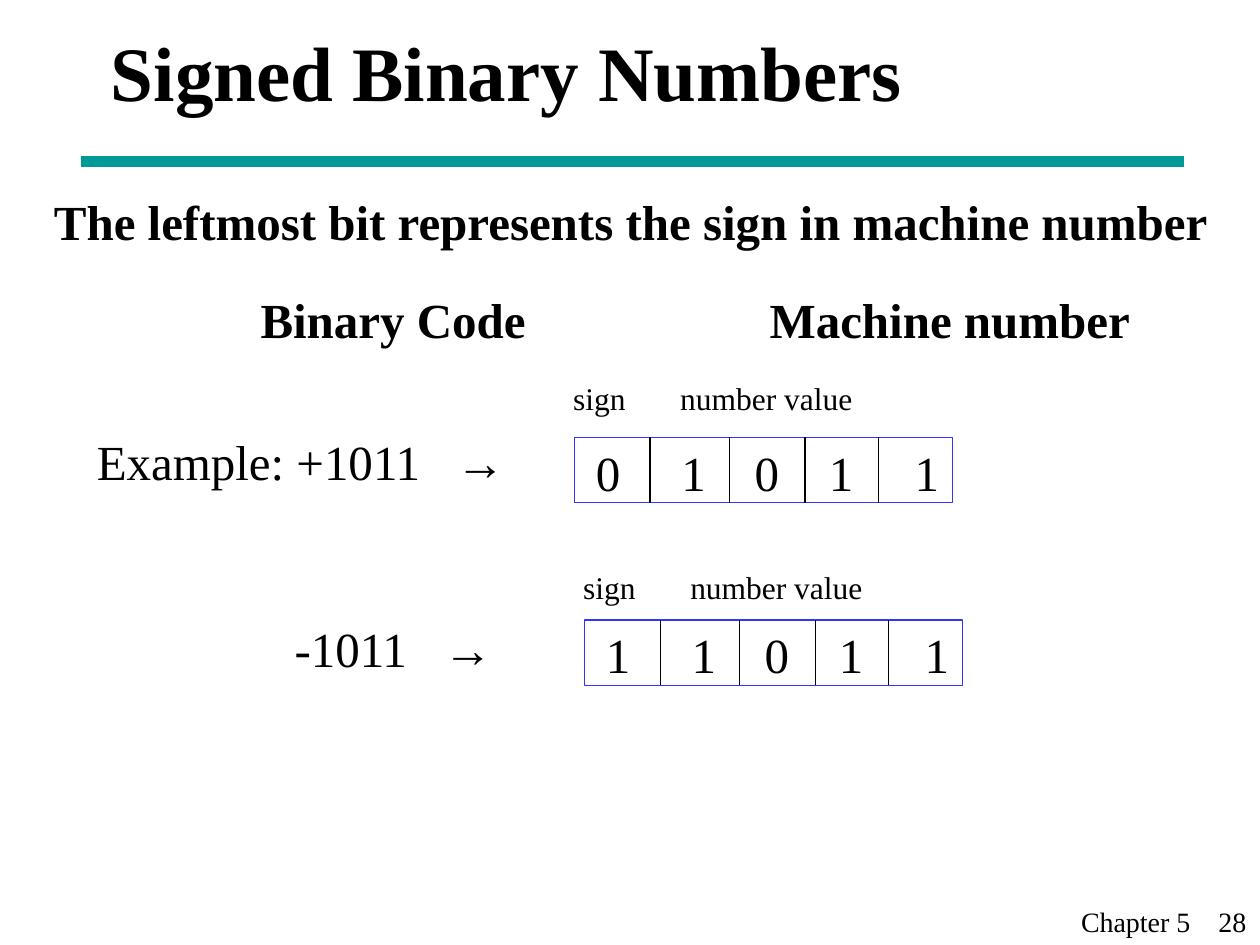
from dataclasses import dataclass

from lxml import etree
from pptx import Presentation
from pptx.dml.color import RGBColor
from pptx.enum.shapes import MSO_CONNECTOR, MSO_SHAPE
from pptx.enum.text import MSO_ANCHOR, MSO_AUTO_SIZE, PP_ALIGN
from pptx.oxml.ns import qn
from pptx.util import Inches, Pt

STRAIGHT = MSO_CONNECTOR.STRAIGHT
RECTANGLE = MSO_SHAPE.RECTANGLE
MIDDLE = MSO_ANCHOR.MIDDLE
NO_AUTOFIT = MSO_AUTO_SIZE.NONE
LEFT = PP_ALIGN.LEFT

COLORS = {"text": "000000", "rule": "009999", "frame": "3333FF"}
FONT = "Times New Roman"
ARROW_FONT = "Arial"

FRAME_WIDTH, FRAME_HEIGHT = 3, 0.52
DIVIDERS = (0.6, 1.23, 1.83, 2.41)
DIGIT_TABS = (0.68, 1.26, 1.85, 2.53)


@dataclass
class Example:
    code: str
    code_left: float
    code_top: float
    code_width: float
    arrow_tab: float
    bits: str
    frame_left: float
    frame_top: float
    label_top: float


EXAMPLES = (
    Example("Example: +1011", 0.67, 3.28, 3.59, 2.85, "01011", 4.56, 3.47, 2.96),
    Example("-1011", 2.24, 4.77, 2, 1.18, "11011", 4.64, 4.92, 4.46),
)


def color(name: str) -> RGBColor:
    return RGBColor.from_string(COLORS[name])


def format_font(font, size: float, bold: bool = False) -> None:
    font.name = FONT
    font.size = Pt(size)
    font.bold = bold
    font.color.rgb = color("text")


def add_text(slide, text: str, left: float, top: float, width: float, height: float,
             size: float = 28, bold: bool = False, tabs: tuple = (), inset: float = 0.1):
    """Add a one-paragraph text box with left tab stops and return its paragraph."""
    box = slide.shapes.add_textbox(Inches(left), Inches(top), Inches(width), Inches(height))
    frame = box.text_frame
    frame.word_wrap = True
    frame.margin_left = Inches(inset)
    frame.margin_right = Inches(0)
    paragraph = frame.paragraphs[0]
    paragraph.text = text
    if tabs:
        tab_list = etree.SubElement(paragraph._p.get_or_add_pPr(), qn("a:tabLst"))
        for position in tabs:
            etree.SubElement(tab_list, qn("a:tab"), pos=str(Inches(position)), algn="l")
    format_font(paragraph.font, size, bold)
    return paragraph


def add_line(slide, start: tuple, end: tuple, color_name: str, width: float) -> None:
    line = slide.shapes.add_connector(STRAIGHT, *map(Inches, start + end))
    line.line.color.rgb = color(color_name)
    line.line.width = Pt(width)
    etree.SubElement(line._element.spPr, qn("a:effectLst"))


def add_example(slide, example: Example) -> None:
    left, top = example.frame_left, example.frame_top

    # Binary code and arrow
    paragraph = add_text(slide, f"{example.code}\t", example.code_left, example.code_top,
                         example.code_width, 0.66, tabs=(example.arrow_tab,))
    paragraph.line_spacing = 1.2
    arrow = paragraph.add_run()
    arrow.text = "→"
    arrow.font.name = ARROW_FONT

    # Machine number cells
    frame = slide.shapes.add_shape(RECTANGLE, Inches(left), Inches(top),
                                   Inches(FRAME_WIDTH), Inches(FRAME_HEIGHT))
    frame.shadow.inherit = False
    frame.fill.background()
    frame.line.color.rgb = color("frame")
    frame.line.width = Pt(0.75)
    add_text(slide, "\t".join(example.bits), left + 0.07, top - 0.01, 2.92, 0.57,
             tabs=DIGIT_TABS)
    for offset in DIVIDERS:
        add_line(slide, (left + offset, top), (left + offset, top + FRAME_HEIGHT), "text", 0.75)

    # Labels above the cells
    add_text(slide, "sign\tnumber value", left - 0.11, example.label_top, 3.39, 0.4,
             size=18, tabs=(0.85,))


def main() -> None:
    presentation = Presentation()
    presentation.slide_width, presentation.slide_height = Inches(10), Inches(7.5)
    slide = presentation.slides.add_slide(presentation.slide_layouts[5])

    # Title and rule
    title = slide.shapes.title
    title.left, title.top = Inches(0.78), Inches(0)
    title.width, title.height = Inches(8.5), Inches(1.12)
    title.text_frame.text = "Signed Binary Numbers"
    title.text_frame.vertical_anchor = MIDDLE
    title.text_frame.auto_size = NO_AUTOFIT
    heading = title.text_frame.paragraphs[0]
    heading.alignment = LEFT
    format_font(heading.font, 44, bold=True)
    add_line(slide, (0.64, 1.28), (9.4, 1.28), "rule", 6)

    # Statement and column headings
    statement = add_text(slide, "The leftmost bit represents the sign in machine number",
                         0.33, 1.38, 9.84, 0.66, bold=True)
    statement.line_spacing = 1.2
    add_text(slide, "Binary Code\tMachine number", 1.97, 2.25, 7.1, 0.57,
             bold=True, tabs=(4.04,))

    for example in EXAMPLES:
        add_example(slide, example)

    # Footer
    add_text(slide, "Chapter 5\t28", 8.21, 7.13, 1.78, 0.37, size=16, tabs=(1.09,), inset=0.37)

    presentation.save("out.pptx")


if __name__ == "__main__":
    main()
